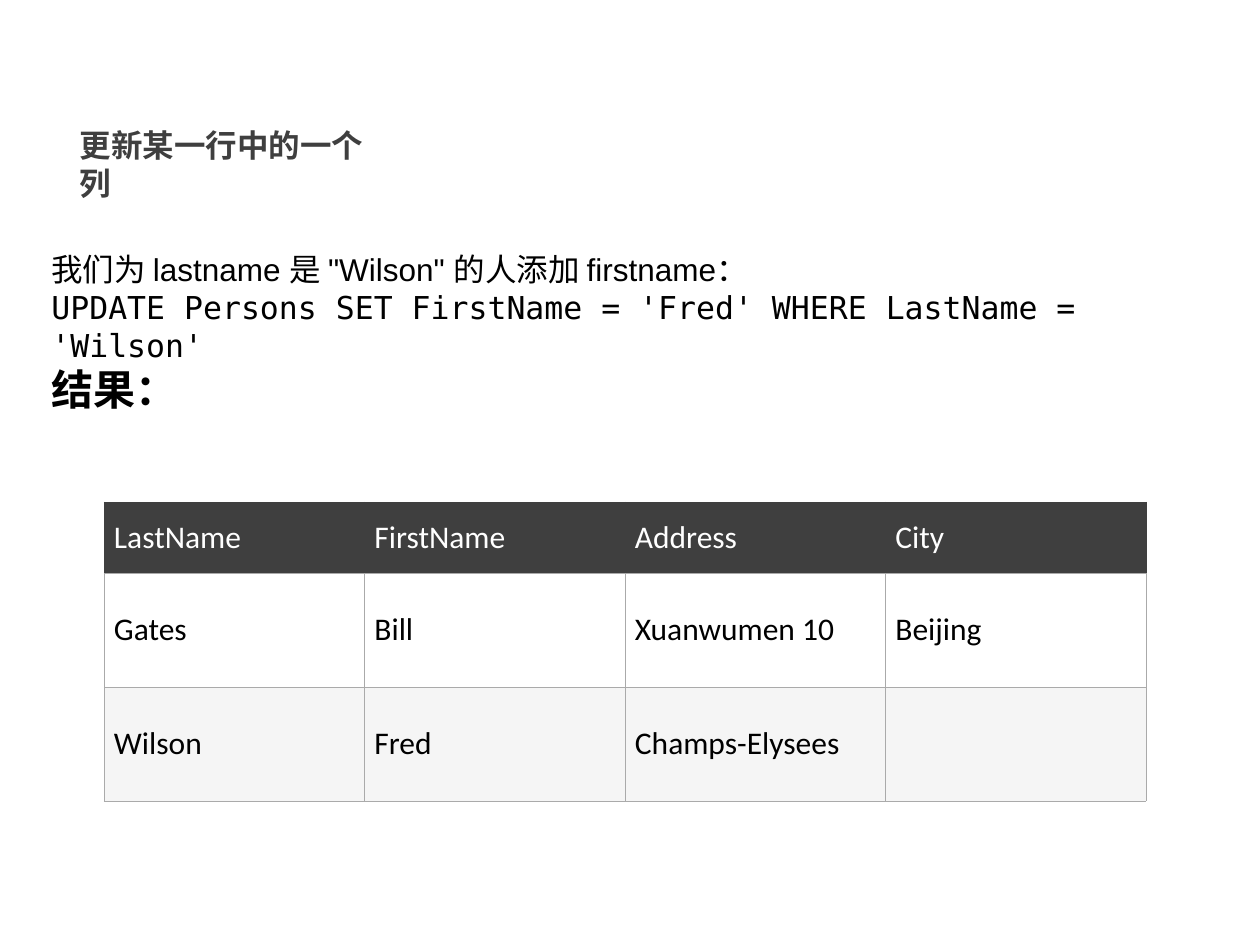
from lxml import etree
from pptx import Presentation
from pptx import util as u
from pptx.dml.color import RGBColor
from pptx.enum import text
from pptx.oxml.ns import qn

COLS = {"dark": "3F3F3F", "black": "000000", "white": "FFFFFF",
        "band": "F5F5F5", "rule": "AAAAAA"}
SCALE = 914400 / 126


def px(n):
    return u.Emu(round(n * SCALE))


def style(par, face, size, tint, bold=False):
    font = par.font
    font.name, font.size, font.bold = face, u.Pt(size), bold
    font.color.rgb = RGBColor.from_string(COLS[tint])
    par.alignment = text.PP_ALIGN.LEFT
    par.space_before = u.Pt(0)
    par.line_spacing = 1.0


deck = Presentation()
deck.slide_width, deck.slide_height = px(1260), px(945)
slide = deck.slides.add_slide(deck.slide_layouts[5])

# Title
title = slide.shapes.title
title.left, title.top, title.width, title.height = px(67), px(120), px(340), px(50)
frame = title.text_frame
frame.text = "更新某一行中的一个列"
frame.word_wrap = False
frame.auto_size = text.MSO_AUTO_SIZE.NONE
frame.vertical_anchor = text.MSO_ANCHOR.TOP
par = frame.paragraphs[0]
style(par, "Noto Sans CJK SC", 18, "dark", True)
east = etree.SubElement(par.font._element, qn("a:ea"))
east.set("typeface", "Noto Sans CJK SC")

# Explanation and statement
lines = [
    ("我们为 lastname 是 \"Wilson\" 的人添加 firstname：", "Arial", 18, False),
    ("UPDATE Persons SET FirstName = 'Fred' WHERE LastName = 'Wilson'",
     "DejaVu Sans Mono", 18, False),
    ("结果：", "Arial", 24, True),
]
frame = slide.shapes.add_textbox(px(39), px(244), px(1181), px(139)).text_frame
frame.word_wrap = True
frame.text = "\n".join(line[0] for line in lines)
for par, (_, face, size, bold) in zip(frame.paragraphs, lines):
    style(par, face, size, "black", bold)

# Result table
rows = [
    ("LastName", "FirstName", "Address", "City"),
    ("Gates", "Bill", "Xuanwumen 10", "Beijing"),
    ("Wilson", "Fred", "Champs-Elysees", ""),
]
looks = [("dark", "white", 71), ("white", "black", 114), ("band", "black", 114)]
table = slide.shapes.add_table(3, 4, px(104), px(502), px(1042), px(299)).table
for r, (row, (fill, tint, high)) in enumerate(zip(rows, looks)):
    table.rows[r].height = px(high)
    for c, word in enumerate(row):
        cell = table.cell(r, c)
        cell.text = word
        cell.vertical_anchor = text.MSO_ANCHOR.MIDDLE
        cell.margin_left = cell.margin_right = px(10)
        cell.margin_top = cell.margin_bottom = px(6)
        style(cell.text_frame.paragraphs[0], "Calibri", 18, tint)

        # Cell borders, dark around the header
        props = cell._tc.get_or_add_tcPr()
        for side in "LRTB":
            edge = "dark" if r == 0 and side != "B" else "rule"
            line = etree.SubElement(props, qn("a:ln" + side), w=str(u.Pt(0.28)))
            solid = etree.SubElement(line, qn("a:solidFill"))
            etree.SubElement(solid, qn("a:srgbClr"), val=COLS[edge])
        cell.fill.solid()
        cell.fill.fore_color.rgb = RGBColor.from_string(COLS[fill])

deck.save("out.pptx")
